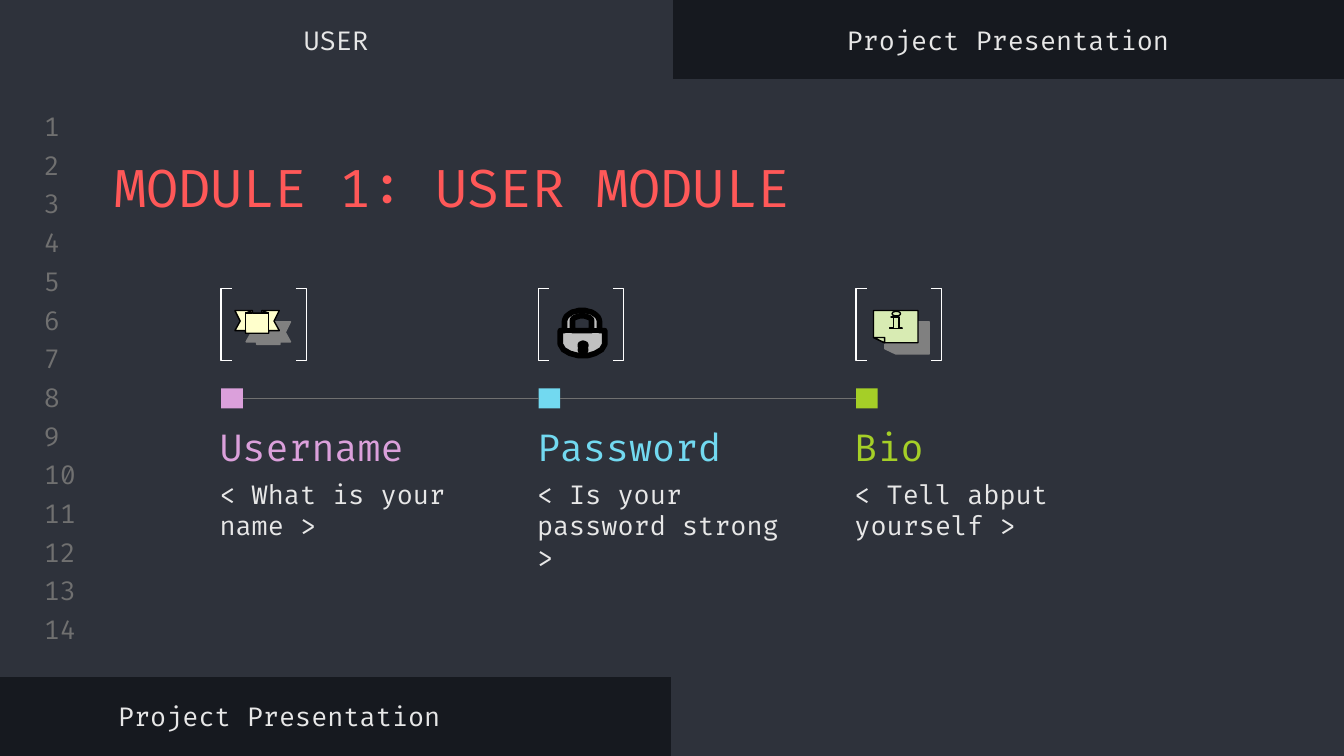
from dataclasses import dataclass
from math import cos, radians, sin

from lxml.etree import SubElement
from pptx import Presentation
from pptx.dml.color import RGBColor
from pptx.enum.shapes import MSO_CONNECTOR, MSO_SHAPE
from pptx.enum.text import MSO_ANCHOR, PP_ALIGN
from pptx.oxml.ns import qn
from pptx.util import Cm, Pt


@dataclass(frozen=True)
class Theme:
    font: str = "Fira Code"
    back: str = "16191F"
    panel: str = "2E323B"
    text: str = "E7E7E7"
    muted: str = "707070"
    title: str = "FF5858"
    pink: str = "DBA0DB"
    cyan: str = "72D9F0"
    green: str = "A5CF27"
    bracket: str = "FFFFFF"
    outline: str = "000000"
    shadow: str = "808080"
    banner: str = "FFFFCC"
    metal: str = "C0C0C0"
    paper: str = "D8EBB3"
    body_size: int = 14
    heading_size: int = 20
    title_size: int = 28
    thin: float = 0.75
    thick: float = 3


@dataclass(frozen=True)
class Box:
    """A region of the slide, in centimetres."""
    left: float
    top: float
    width: float
    height: float

    def lengths(self):
        return Cm(self.left), Cm(self.top), Cm(self.width), Cm(self.height)


THEME = Theme()


# Basic parts
def style_shape(shape, fill=None, line=None, weight=THEME.thin):
    shape.shadow.inherit = False
    if fill:
        shape.fill.solid()
        shape.fill.fore_color.rgb = RGBColor.from_string(fill)
    else:
        shape.fill.background()
    if line:
        shape.line.color.rgb = RGBColor.from_string(line)
        shape.line.width = Pt(weight)
    else:
        shape.line.fill.background()
    return shape


def add_block(slide, box, kind=MSO_SHAPE.RECTANGLE, **style):
    return style_shape(slide.shapes.add_shape(kind, *box.lengths()), **style)


def add_text(slide, box, text, color=THEME.text, size=THEME.body_size,
             anchor=MSO_ANCHOR.MIDDLE, align=PP_ALIGN.LEFT):
    frame = slide.shapes.add_textbox(*box.lengths()).text_frame
    frame.word_wrap = True
    frame.vertical_anchor = anchor
    frame.margin_left = frame.margin_right = Cm(0.25)
    frame.margin_top = frame.margin_bottom = Cm(0.25)
    paragraph = frame.paragraphs[0]
    paragraph.alignment = align
    run = paragraph.add_run()
    run.text = text
    run.font.name = THEME.font
    run.font.size = Pt(size)
    run.font.color.rgb = RGBColor.from_string(color)


def add_line(slide, start, end, color, weight=THEME.thin):
    connector = slide.shapes.add_connector(
        MSO_CONNECTOR.STRAIGHT, *(Cm(value) for value in (*start, *end)))
    connector.line.color.rgb = RGBColor.from_string(color)
    connector.line.width = Pt(weight)
    SubElement(connector.element.spPr, qn("a:effectLst"))
    return connector


def add_outline(slide, box, *contours, closed=True, fill=None, weight=THEME.thin):
    """Draw contours given in hundredths of a centimetre from the box corner."""
    first, *others = contours
    builder = slide.shapes.build_freeform(*first[0], scale=Cm(0.01))
    builder.add_line_segments(first[1:], close=closed)
    for contour in others:
        builder.move_to(*contour[0])
        builder.add_line_segments(contour[1:], close=closed)
    shape = builder.convert_to_shape(Cm(box.left), Cm(box.top))
    return style_shape(shape, fill, THEME.outline, weight)


def add_hard_shadow(shape):
    effects = shape.element.spPr.find(qn("a:effectLst"))
    shadow = SubElement(effects, qn("a:outerShdw"), dist=str(Pt(8.5)), dir="2700000",
                        algn="ctr", rotWithShape="0")
    SubElement(shadow, qn("a:srgbClr"), val=THEME.shadow)


def arc(center_x, center_y, radius_x, radius_y, start, end, steps=16):
    angles = (radians(start + (end - start) * step / steps) for step in range(steps + 1))
    return [(center_x + radius_x * cos(angle), center_y + radius_y * sin(angle))
            for angle in angles]


# Icons
def draw_banner(slide, box):
    ribbon = [(0, 0), (33, 0), (33, 5), (51, 5), (51, 0), (84, 0), (74, 20), (84, 38),
              (64, 38), (64, 43), (20, 43), (20, 38), (0, 38), (10, 20)]
    add_hard_shadow(add_outline(slide, box, ribbon, fill=THEME.banner))
    folds = [[(33, 5), (20, 5), (20, 38)], [(20, 5), (33, 0)]]
    mirrored = [[(84 - x, y) for x, y in fold] for fold in folds]
    add_outline(slide, box, *folds, *mirrored, closed=False)


def draw_padlock(slide, box):
    style = dict(fill=THEME.metal, weight=THEME.thick)
    body = [(0, 38), (8, 38), *arc(41, 20, 33, 20, 180, 360), (74, 38), (84, 38), (84, 64),
            (78, 74), (66, 81), (53, 85), (33, 85), (18, 81), (6, 74), (0, 64)]
    opening = [(23, 38), *arc(41, 20, 18, 10, 180, 360), (59, 38)]
    add_outline(slide, box, body, opening, **style)
    seam = box.top + 0.38
    add_line(slide, (box.left, seam), (box.left + 0.84, seam), THEME.outline, THEME.thick)
    add_outline(slide, box, [*arc(43, 66, 5, 4, 140, 400), (48, 76), (38, 76)], **style)


def draw_note(slide, box):
    style = dict(fill=THEME.paper)
    sheet = [(0, 0), (84, 0), (84, 61), (21, 61), (0, 51)]
    add_hard_shadow(add_outline(slide, box, sheet, **style))
    corner = [(0, 51), (21, 51), (21, 61)]
    stem = [(33, 12), (48, 12), (48, 33), (54, 33), (54, 34), (30, 34), (30, 33),
            (38, 33), (38, 12)]
    for contour in (corner, stem, arc(43, 6, 8, 4, 0, 360)):
        add_outline(slide, box, contour, **style)


# Regions
def draw_frame(slide, box):
    half, bar = box.width / 2, 1.65
    panels = (Box(box.left, box.top, half, bar),
              Box(box.left + half, box.top + box.height - bar, half, bar),
              Box(box.left, box.top + 1.5, box.width, 11.28))
    for panel in panels:
        add_block(slide, panel, fill=THEME.panel, line=THEME.panel)
    for index, label in enumerate(("USER", "Project Presentation")):
        add_text(slide, Box(box.left + index * half, box.top + 0.25, half, 1), label,
                 align=PP_ALIGN.CENTER)
    add_text(slide, Box(box.left + 1.98, box.top + 13.03, 13.5, 1), "Project Presentation")


def draw_line_numbers(slide, box, count=14):
    pitch = box.height / count
    for index in range(count):
        add_text(slide, Box(box.left, box.top + index * pitch, box.width, 0.61),
                 str(index + 1), THEME.muted)


def draw_step(slide, box, heading, description, color, draw_icon, icon_offset):
    for offset, kind in ((0, MSO_SHAPE.LEFT_BRACKET), (1.41, MSO_SHAPE.RIGHT_BRACKET)):
        bracket = add_block(slide, Box(box.left + offset, box.top, 0.2, 1.35), kind,
                            line=THEME.bracket)
        bracket.adjustments[0] = 0
    draw_icon(slide, Box(box.left + icon_offset, box.top + 0.41, 0.84, 0.84))
    text_left = box.left - 0.28
    add_text(slide, Box(text_left, box.top + 2.52, box.width, 0.94), heading, color,
             THEME.heading_size)
    add_text(slide, Box(text_left, box.top + 3.33, box.width, 1.63), description,
             anchor=MSO_ANCHOR.TOP)
    return add_block(slide, Box(box.left, box.top + 1.88, 0.41, 0.38), fill=color)


def draw_timeline(slide, box):
    steps = (
        ("Username", "< What is your name >", THEME.pink, draw_banner, 0.26),
        ("Password", "< Is your password strong >", THEME.cyan, draw_padlock, 0.41),
        ("Bio", "< Tell abput yourself >", THEME.green, draw_note, 0.33),
    )
    pitch = box.width / len(steps)
    markers = [draw_step(slide, Box(box.left + index * pitch, box.top, 5.59, box.height), *step)
               for index, step in enumerate(steps)]
    for before, after in zip(markers, markers[1:]):
        connector = add_line(slide, (0, 0), (1, 0), THEME.muted)
        connector.begin_connect(before, 3)
        connector.end_connect(after, 1)


def main():
    presentation = Presentation()
    presentation.slide_width, presentation.slide_height = Cm(25.4), Cm(14.29)
    slide = presentation.slides.add_slide(presentation.slide_layouts[6])
    slide.background.fill.solid()
    slide.background.fill.fore_color.rgb = RGBColor.from_string(THEME.back)
    draw_frame(slide, Box(0, 0, 25.4, 14.29))
    draw_line_numbers(slide, Box(0.58, 2.08, 1.19, 10.24))
    add_text(slide, Box(1.91, 2.69, 21.44, 1.6), "MODULE 1: USER MODULE", THEME.title,
             THEME.title_size, MSO_ANCHOR.TOP)
    draw_timeline(slide, Box(4.18, 5.46, 18, 4.96))
    presentation.save("out.pptx")


if __name__ == "__main__":
    main()
